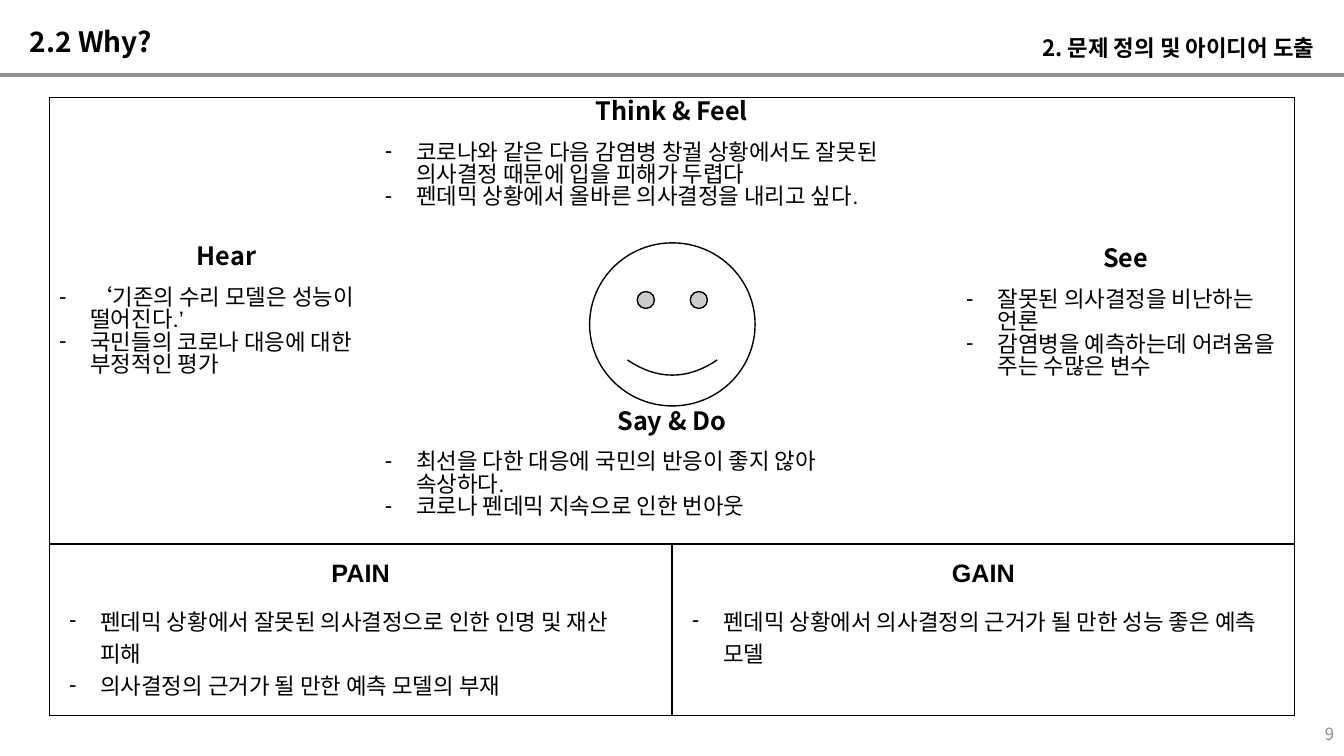
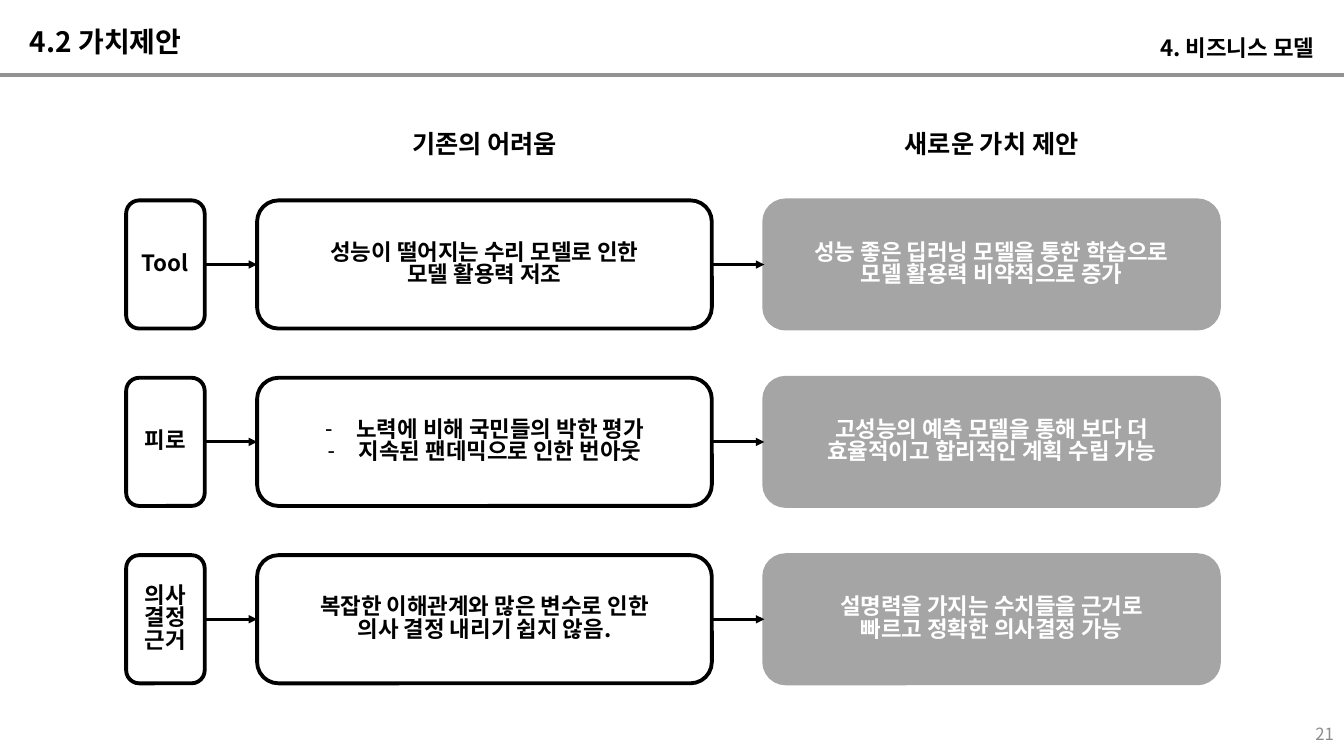
"""Build two slides: an empathy map and a value proposition."""
from pptx import Presentation
from pptx.dml.color import RGBColor
from pptx.enum.shapes import MSO_CONNECTOR, MSO_SHAPE
from pptx.enum.text import MSO_ANCHOR, PP_ALIGN
from pptx.oxml.ns import qn
from pptx.util import Cm, Pt
from lxml.etree import SubElement

SANS, ARIAL = "Noto Sans CJK KR", "Arial"
COLORS = {"ink": "000000", "paper": "FFFFFF", "rule": "929292", "number": "8C8C8C", "value": "A5A5A5"}
PAGE_WIDTH, PAGE_HEIGHT = 33.87, 19.05
BULLET_INDENT = 0.79
TIGHT = 0.83

EMPATHY = [
    ("Think & Feel", (9.45, 2.41, 14.96, 3.51),
     ["코로나와 같은 다음 감염병 창궐 상황에서도 잘못된 의사결정 때문에 입을 피해가 두렵다",
      "펜데믹 상황에서 올바른 의사결정을 내리고 싶다."]),
    ("Say & Do", (9.45, 10.21, 14.96, 3.51),
     ["최선을 다한 대응에 국민의 반응이 좋지 않아\v속상하다.",
      "코로나 펜데믹 지속으로 인한 번아웃"]),
    ("Hear", (1.24, 6.07, 8.94, 4.19),
     ["‘기존의 수리 모델은 성능이 떨어진다.’",
      "국민들의 코로나 대응에 대한 부정적인 평가"]),
    ("See", (24.1, 6.12, 8.53, 4.19),
     ["잘못된 의사결정을 비난하는 언론",
      "감염병을 예측하는데 어려움을 주는 수많은 변수"]),
]
OUTCOMES = [
    ("PAIN", ["펜데믹 상황에서 잘못된 의사결정으로 인한 인명 및 재산 피해",
              "의사결정의 근거가 될 만한 예측 모델의 부재"]),
    ("GAIN", ["펜데믹 상황에서 의사결정의 근거가 될 만한 성능 좋은 예측 모델"]),
]
TABLE_BOX = (1.24, 2.46, 31.39, 15.57)
TABLE_ROWS = (11.25, 4.32)
SMILEY_BOX = (14.86, 6.12, 4.17, 4.11)

VALUE_HEADINGS = ["", "기존의 어려움", "새로운 가치 제안"]
VALUE_ROWS = [
    (["Tool"],
     ["성능이 떨어지는 수리 모델로 인한", "모델 활용력 저조"],
     ["성능 좋은 딥러닝 모델을 통한 학습으로", "모델 활용력 비약적으로 증가"]),
    (["피로"],
     ["노력에 비해 국민들의 박한 평가", "지속된 팬데믹으로 인한 번아웃"],
     ["고성능의 예측 모델을 통해 보다 더", "효율적이고 합리적인 계획 수립 가능"]),
    (["의사", "결정", "근거"],
     ["복잡한 이해관계와 많은 변수로 인한", "의사 결정 내리기 쉽지 않음."],
     ["설명력을 가지는 수치들을 근거로", "빠르고 정확한 의사결정 가능"]),
]
BULLETED = {(1, 1)}
COLUMN_WIDTHS = (1.98, 11.46, 11.46)
GRID_LEFT, GRID_TOP, COLUMN_GAP = 3.18, 5.05, 1.32
ROW_HEIGHT, ROW_PITCH = 3.23, 4.47
HEADING_TOP, HEADING_HEIGHT, HEADING_WIDTH = 3.25, 1.12, 6.6


def color(name):
    return RGBColor.from_string(COLORS[name])


def lengths(box):
    return [Cm(value) for value in box]


def write(frame, text, size=16, font=SANS, ink="ink", bold=True, align=PP_ALIGN.CENTER,
          bullet=False, indent=0, spacing=TIGHT, after=0):
    """Add one formatted paragraph to a text frame."""
    first = frame.paragraphs[0]
    para = frame.add_paragraph() if first.runs else first
    para.text = text
    para.alignment = align
    para.line_spacing = spacing
    para.space_after = Pt(after)
    properties = para._p.get_or_add_pPr()
    if bullet:
        properties.set("marL", str(Cm(BULLET_INDENT)))
        properties.set("indent", str(-Cm(BULLET_INDENT)))
        SubElement(properties, qn("a:buFont"), typeface=ARIAL)
        SubElement(properties, qn("a:buChar"), char="-")
    elif indent:
        properties.set("marL", str(Cm(indent)))
    for span in para.runs:
        span.font.size = Pt(size)
        span.font.bold = bold
        span.font.name = font
        span.font.color.rgb = color(ink)
        SubElement(span._r.get_or_add_rPr(), qn("a:ea"), typeface=SANS)


def add_text_box(page, box, anchor=MSO_ANCHOR.TOP):
    frame = page.shapes.add_textbox(*lengths(box)).text_frame
    frame.word_wrap = True
    frame.vertical_anchor = anchor
    return frame


def add_line(page, start, end, ink, width, arrow=False):
    line = page.shapes.add_connector(MSO_CONNECTOR.STRAIGHT, *lengths(start + end))
    line.line.color.rgb = color(ink)
    line.line.width = Pt(width)
    if arrow:
        SubElement(line.line._get_or_add_ln(), qn("a:tailEnd"), type="triangle")
    SubElement(line._element.spPr, qn("a:effectLst"))


def add_outlined(page, kind, box, fill, ink, width):
    shape = page.shapes.add_shape(kind, *lengths(box))
    shape.shadow.inherit = False
    if fill:
        shape.fill.solid()
        shape.fill.fore_color.rgb = color(fill)
    else:
        shape.fill.background()
    shape.line.color.rgb = color(ink)
    shape.line.width = Pt(width)
    return shape


def add_page(deck, title, section, number):
    """Add a slide with the shared header and page number."""
    page = deck.slides.add_slide(deck.slide_layouts[6])
    add_line(page, (PAGE_WIDTH, 1.88), (0, 1.88), "rule", 3)
    middle = MSO_ANCHOR.MIDDLE
    write(add_text_box(page, (26.25, 18.03, 7.62, 1.02), middle), number, size=12,
          ink="number", bold=False, align=PP_ALIGN.RIGHT)
    write(add_text_box(page, (0, 0.56, 16.94, 1.12), middle), title, size=20,
          align=PP_ALIGN.LEFT, indent=0.5)
    write(add_text_box(page, (16.43, 0.79, 16.94, 0.94), middle), section,
          align=PP_ALIGN.RIGHT)
    return page


def write_topic(frame, heading, points, font=SANS, spacing=TIGHT):
    write(frame, heading, size=18, font=font, spacing=spacing, after=12)
    for point in points:
        write(frame, point, font=ARIAL, bold=False, align=PP_ALIGN.LEFT, bullet=True,
              spacing=spacing)


def style_cell(cell):
    cell.margin_left = cell.margin_right = Cm(0.5)
    cell.margin_top = cell.margin_bottom = Cm(0.38)
    properties = cell._tc.get_or_add_tcPr()
    for side in ("lnL", "lnR", "lnT", "lnB"):
        border = SubElement(properties, qn(f"a:{side}"), w=str(Pt(1)))
        fill = SubElement(border, qn("a:solidFill"))
        SubElement(fill, qn("a:srgbClr"), val=COLORS["ink"])
    cell.fill.background()


def build_empathy_map(deck):
    page = add_page(deck, "2.2 Why?", "2. 문제 정의 및 아이디어 도출", "9")
    table = page.shapes.add_table(2, 2, *lengths(TABLE_BOX)).table
    table.first_row = table.horz_banding = False
    for row, height in zip(table.rows, TABLE_ROWS):
        row.height = Cm(height)
    for cell in table.iter_cells():
        style_cell(cell)
    table.cell(0, 0).merge(table.cell(0, 1))
    for column, (heading, points) in enumerate(OUTCOMES):
        write_topic(table.cell(1, column).text_frame, heading, points, font=ARIAL, spacing=1.0)
    add_outlined(page, MSO_SHAPE.SMILEY_FACE, SMILEY_BOX, "paper", "ink", 1)
    for heading, box, points in EMPATHY:
        write_topic(add_text_box(page, box), heading, points)


def build_value_proposition(deck):
    page = add_page(deck, "4.2 가치제안", "4. 비즈니스 모델", "21")
    lefts = [GRID_LEFT + sum(COLUMN_WIDTHS[:index]) + index * COLUMN_GAP
             for index in range(len(COLUMN_WIDTHS))]
    for heading, left, width in zip(VALUE_HEADINGS, lefts, COLUMN_WIDTHS):
        if heading:
            box = (left + (width - HEADING_WIDTH) / 2, HEADING_TOP, HEADING_WIDTH, HEADING_HEIGHT)
            write(add_text_box(page, box), heading, size=18)
    for row, cells in enumerate(VALUE_ROWS):
        top = GRID_TOP + row * ROW_PITCH
        center = top + ROW_HEIGHT / 2
        for column, (lines, left, width) in enumerate(zip(cells, lefts, COLUMN_WIDTHS)):
            is_value = column == len(cells) - 1
            card = add_outlined(page, MSO_SHAPE.ROUNDED_RECTANGLE, (left, top, width, ROW_HEIGHT),
                                "value" if is_value else None, "value" if is_value else "ink", 2.75)
            card.text_frame.word_wrap = True
            card.text_frame.vertical_anchor = MSO_ANCHOR.MIDDLE
            for line in lines:
                write(card.text_frame, line, ink="paper" if is_value else "ink",
                      bullet=(row, column) in BULLETED)
            if column:
                add_line(page, (left - COLUMN_GAP, center), (left, center), "ink", 2, arrow=True)


def main():
    deck = Presentation()
    deck.slide_width, deck.slide_height = Cm(PAGE_WIDTH), Cm(PAGE_HEIGHT)
    build_empathy_map(deck)
    build_value_proposition(deck)
    deck.save("out.pptx")


if __name__ == "__main__":
    main()
